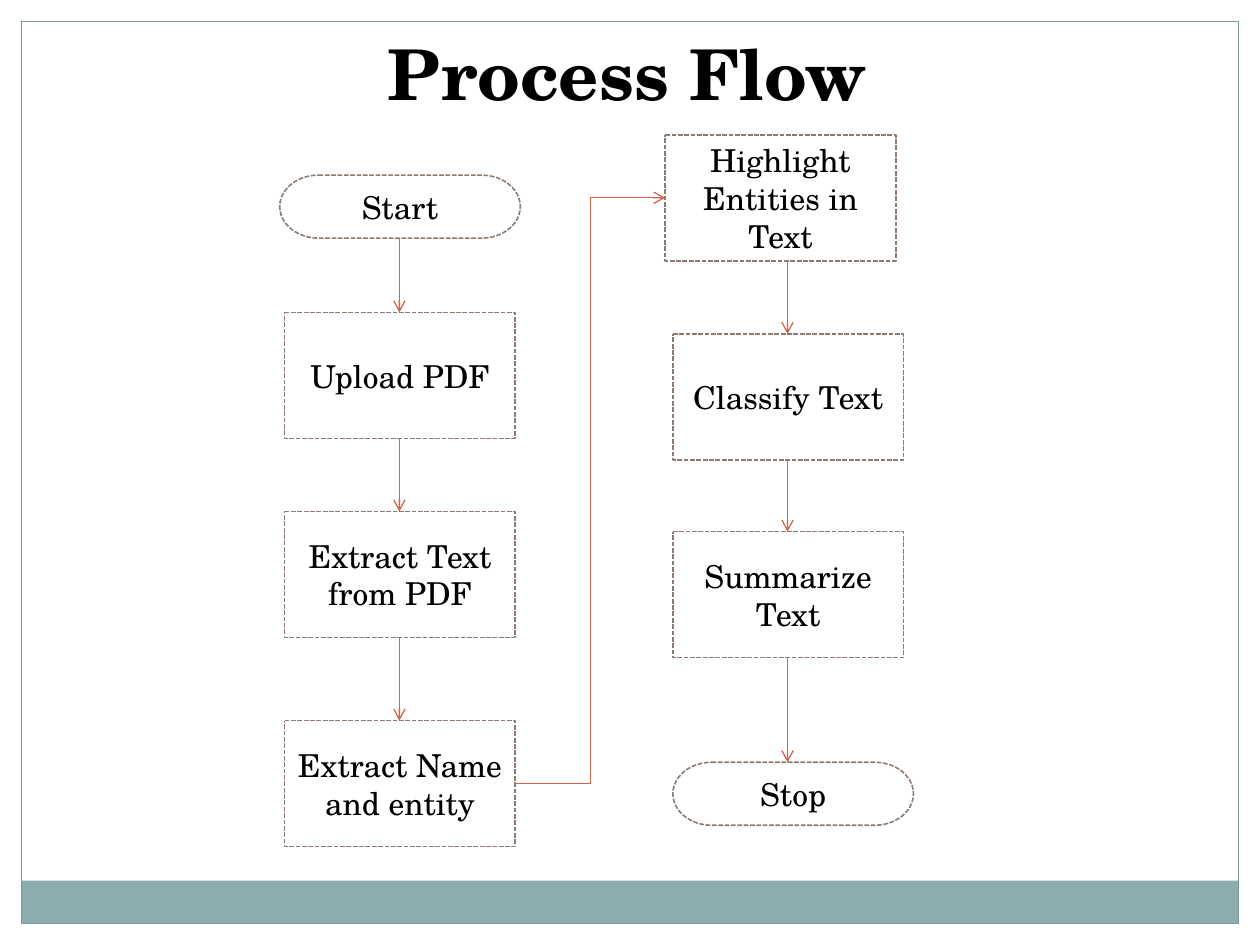
from lxml import etree
from pptx import Presentation
from pptx.dml.color import RGBColor
from pptx.enum.dml import MSO_LINE
from pptx.enum.shapes import MSO_CONNECTOR, MSO_SHAPE
from pptx.enum.text import MSO_ANCHOR, PP_ALIGN
from pptx.oxml.ns import qn
from pptx.util import Inches, Pt

RECTANGLE = MSO_SHAPE.RECTANGLE
PROCESS = MSO_SHAPE.FLOWCHART_PROCESS
TERMINATOR = MSO_SHAPE.FLOWCHART_TERMINATOR
STRAIGHT, ELBOW = MSO_CONNECTOR.STRAIGHT, MSO_CONNECTOR.ELBOW
CENTER, MIDDLE = PP_ALIGN.CENTER, MSO_ANCHOR.MIDDLE
DASH = MSO_LINE.SQUARE_DOT

FONT = "TeX Gyre Schola"
BLACK = RGBColor(0x00, 0x00, 0x00)
WHITE = RGBColor(0xFF, 0xFF, 0xFF)
TEAL = RGBColor(0x8C, 0xAD, 0xAE)
FRAME_LINE = RGBColor(0x7C, 0x99, 0x9A)
BOX_LINE = RGBColor(0x8C, 0x7B, 0x70)
ARROW = RGBColor(0xD1, 0x63, 0x49)

# Content, in inches: each column has an arrow axis and steps (text, kind, left, top)
TITLE = "Process Flow"
COLUMNS = [
    (3.17, [
        ("Start", TERMINATOR, 2.22, 1.39),
        ("Upload PDF", PROCESS, 2.26, 2.48),
        ("Extract Text from PDF", PROCESS, 2.26, 4.06),
        ("Extract Name and entity", PROCESS, 2.26, 5.72),
    ]),
    (6.25, [
        ("Highlight Entities in Text", PROCESS, 5.28, 1.07),
        ("Classify Text", PROCESS, 5.34, 2.65),
        ("Summarize Text", PROCESS, 5.34, 4.22),
        ("Stop", TERMINATOR, 5.34, 6.05),
    ]),
]
SIZES = {PROCESS: (1.83, 1), TERMINATOR: (1.91, 0.5)}
WIDTH, HEIGHT, MARGIN, BAND_HEIGHT = 10, 7.5, 0.17, 0.34


def style_text(text_frame, size, bold=False):
    text_frame.word_wrap = True
    text_frame.vertical_anchor = MIDDLE
    paragraph = text_frame.paragraphs[0]
    paragraph.alignment = CENTER
    font = paragraph.runs[0].font
    font.name, font.size, font.bold = FONT, Pt(size), bold
    font.color.rgb = BLACK


def add_box(slide, kind, left, top, width, height, fill=None, line=None, line_width=0.75):
    shape = slide.shapes.add_shape(
        kind, Inches(left), Inches(top), Inches(width), Inches(height))
    shape.shadow.inherit = False
    if fill is None:
        shape.fill.background()
    else:
        shape.fill.solid()
        shape.fill.fore_color.rgb = fill
    if line is None:
        shape.line.fill.background()
    else:
        shape.line.color.rgb = line
        shape.line.width = Pt(line_width)
    return shape


def add_step(slide, text, kind, left, top):
    shape = add_box(slide, kind, left, top, *SIZES[kind], WHITE, BOX_LINE, 0.9)
    shape.line.dash_style = DASH
    shape.text_frame.text = text
    style_text(shape.text_frame, 18)
    return shape


def add_arrow(slide, kind, *ends):
    connector = slide.shapes.add_connector(kind, *ends)
    connector.line.color.rgb = ARROW
    connector.line.width = Pt(0.75)
    properties = connector._element.spPr
    etree.SubElement(properties.find(qn("a:ln")), qn("a:tailEnd"), type="arrow")
    etree.SubElement(properties, qn("a:effectLst"))


def main():
    presentation = Presentation()
    presentation.slide_width, presentation.slide_height = Inches(WIDTH), Inches(HEIGHT)
    slide = presentation.slides.add_slide(presentation.slide_layouts[5])

    # Bottom band and page frame
    inner_width = WIDTH - 2 * MARGIN
    add_box(slide, RECTANGLE, MARGIN, HEIGHT - MARGIN - BAND_HEIGHT,
            inner_width, BAND_HEIGHT, fill=TEAL)
    add_box(slide, RECTANGLE, MARGIN, MARGIN, inner_width, HEIGHT - 2 * MARGIN,
            line=FRAME_LINE)

    # Title, without side insets so that it fits on one line
    title = slide.shapes.title
    title.left, title.top = Inches(2.98), Inches(0.19)
    title.width, title.height = Inches(4), Inches(0.77)
    title.text_frame.text = TITLE
    title.text_frame.margin_left = title.text_frame.margin_right = 0
    style_text(title.text_frame, 40, bold=True)

    # Steps, with a straight arrow between neighbours in a column
    columns = []
    for axis, steps in COLUMNS:
        boxes = [add_step(slide, *step) for step in steps]
        for upper, lower in zip(boxes, boxes[1:]):
            add_arrow(slide, STRAIGHT, Inches(axis), upper.top + upper.height,
                      Inches(axis), lower.top)
        columns.append(boxes)

    # Bent arrow from the last step on the left to the first on the right
    last, first = columns[0][-1], columns[1][0]
    add_arrow(slide, ELBOW, last.left + last.width, last.top + last.height // 2,
              first.left, first.top + first.height // 2)

    presentation.save("out.pptx")


if __name__ == "__main__":
    main()
